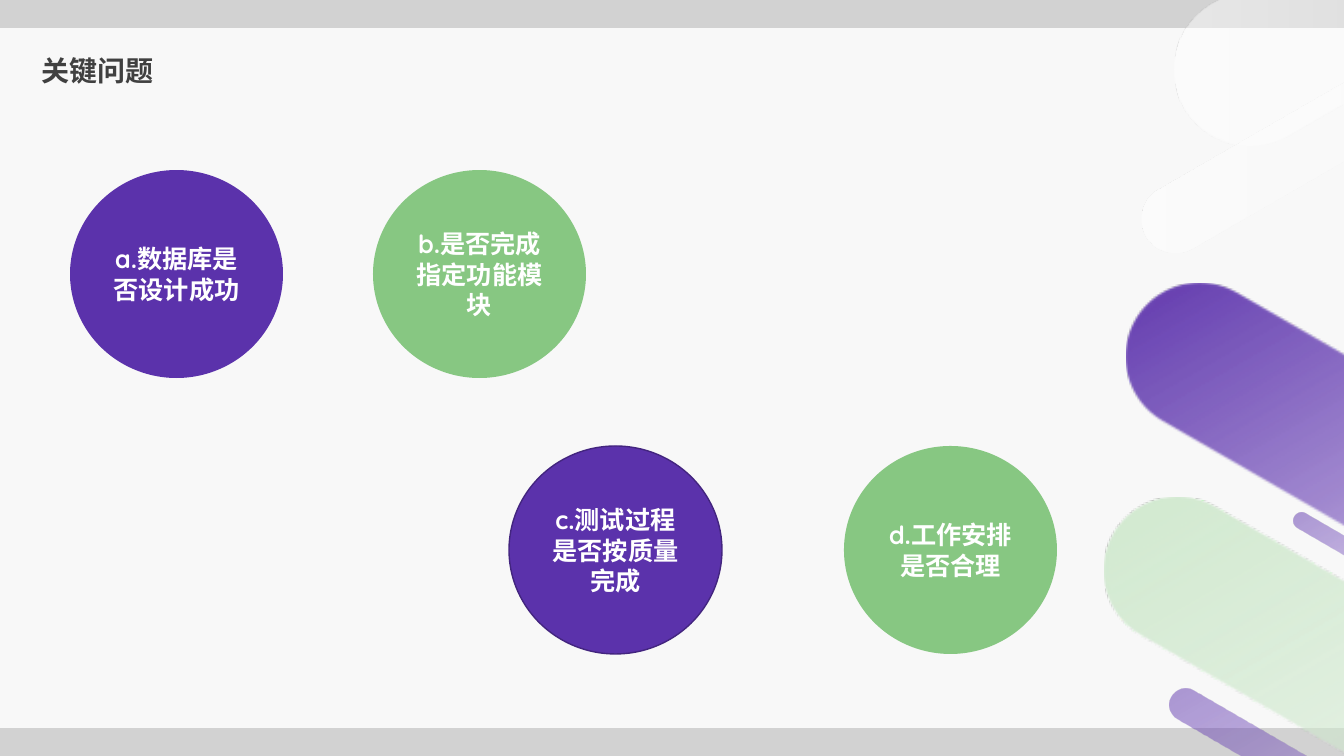
from dataclasses import dataclass

from pptx import Presentation
from pptx.dml.color import RGBColor
from pptx.enum.shapes import MSO_SHAPE as Preset
from pptx.enum.text import MSO_ANCHOR as Anchor, PP_ALIGN as Align
from pptx.oxml import parse_xml
from pptx.oxml.ns import nsdecls, qn
from pptx.util import Pt

PIXEL = 914400 / 100.8
CJK_FONT = "Noto Sans CJK SC"
COLORS = {
    "band": "D2D2D2",
    "panel": "F8F8F8",
    "purple": "5B32AB",
    "violet": "5F34B2",
    "outline": "43257F",
    "green": "87C782",
    "mint": "D0E9CE",
    "title": "404040",
    "white": "FFFFFF",
}


@dataclass(frozen=True)
class Stop:
    position: int
    color: str
    alpha: int


@dataclass(frozen=True)
class Pill:
    left: int
    top: int
    width: int
    height: int
    tilt: int
    stops: tuple[Stop, ...]


@dataclass(frozen=True)
class Question:
    left: int
    top: int
    color: str
    text: str
    outlined: bool = False


FADE = (Stop(85, "white", 50), Stop(100, "white", 50))
PURPLE_FADE = (Stop(0, "purple", 100), Stop(23, "violet", 40), *FADE)
SOFT_FADE = (Stop(0, "purple", 50), Stop(23, "violet", 40), *FADE)
MINT_FADE = (Stop(0, "mint", 100), Stop(22, "mint", 50), *FADE)
WHITE_FADE = (Stop(0, "white", 50), Stop(21, "white", 29),
              Stop(85, "white", 0), Stop(100, "white", 0))

PILLS = [
    Pill(998, 764, 2071, 148, 30, PURPLE_FADE),
    Pill(1105, -267, 1196, 152, -30, WHITE_FADE),
    Pill(1111, 69, 531, 68, -30, WHITE_FADE),
    Pill(976, 978, 2071, 148, 30, MINT_FADE),
    Pill(1278, 570, 246, 17, 30, SOFT_FADE),
    Pill(1140, 799, 473, 33, 30, SOFT_FADE),
]

QUESTIONS = [
    Question(70, 170, "purple", "a.数据库是否设计成功"),
    Question(373, 170, "green", "b.是否完成指定功能模块"),
    Question(509, 446, "purple", "c.测试过程是否按质量完成", True),
    Question(844, 446, "green", "d.工作安排是否合理"),
]


def px(value: float) -> int:
    return round(value * PIXEL)


def rgb(name: str) -> RGBColor:
    return RGBColor.from_string(COLORS[name])


def format_span(span, size: int, font: str, color: str) -> None:
    span.font.size = Pt(size)
    span.font.bold = True
    span.font.name = font
    span.font.color.rgb = rgb(color)
    east_asian = parse_xml(f'<a:ea {nsdecls("a")} typeface="{CJK_FONT}"/>')
    span.font._element.find(qn("a:latin")).addnext(east_asian)


def add_preset(page, preset, left: int, top: int, width: int, height: int, color: str):
    shape = page.shapes.add_shape(preset, px(left), px(top), px(width), px(height))
    shape.shadow.inherit = False
    shape.fill.solid()
    shape.fill.fore_color.rgb = rgb(color)
    shape.line.fill.background()
    return shape


def fade_fill(shape, stops: tuple[Stop, ...]) -> None:
    entries = "".join(
        f'<a:gs pos="{stop.position * 1000}"><a:srgbClr val="{COLORS[stop.color]}">'
        f'<a:alpha val="{stop.alpha * 1000}"/></a:srgbClr></a:gs>'
        for stop in stops
    )
    gradient = parse_xml(
        f'<a:gradFill {nsdecls("a")} rotWithShape="1"><a:gsLst>{entries}</a:gsLst>'
        '<a:lin ang="1800000" scaled="0"/></a:gradFill>'
    )
    solid = shape.element.spPr.find(qn("a:solidFill"))
    solid.getparent().replace(solid, gradient)


def add_pill(page, pill: Pill) -> None:
    shape = add_preset(page, Preset.ROUNDED_RECTANGLE, pill.left, pill.top,
                       pill.width, pill.height, pill.stops[0].color)
    shape.adjustments[0] = 0.5
    shape.rotation = pill.tilt
    fade_fill(shape, pill.stops)


def add_question(page, question: Question) -> None:
    circle = add_preset(page, Preset.OVAL, question.left, question.top, 213, 208, question.color)
    if question.outlined:
        circle.line.color.rgb = rgb("outline")
        circle.line.width = Pt(1)
    frame = circle.text_frame
    frame.text = question.text
    frame.word_wrap = True
    frame.vertical_anchor = Anchor.MIDDLE
    para = frame.paragraphs[0]
    para.alignment = Align.CENTER
    format_span(para.runs[0], 18, "Quicksand", "white")


def set_title(page, text: str) -> None:
    title = page.shapes.title
    title.left, title.top, title.width, title.height = px(31), px(43), px(503), px(58)
    frame = title.text_frame
    frame.text = text
    frame.word_wrap = True
    frame.vertical_anchor = Anchor.MIDDLE
    para = frame.paragraphs[0]
    para.alignment = Align.LEFT
    para.line_spacing = 0.9
    para.space_before = Pt(10)
    format_span(para.runs[0], 20, CJK_FONT, "title")
    title.element.getparent().append(title.element)


deck = Presentation()
deck.slide_width, deck.slide_height = px(1344), px(756)
page = deck.slides.add_slide(deck.slide_layouts[5])
page.background.fill.solid()
page.background.fill.fore_color.rgb = rgb("band")

add_preset(page, Preset.RECTANGLE, 0, 28, 1344, 700, "panel")
for pill in PILLS:
    add_pill(page, pill)
set_title(page, "关键问题")
for question in QUESTIONS:
    add_question(page, question)

deck.save("out.pptx")
